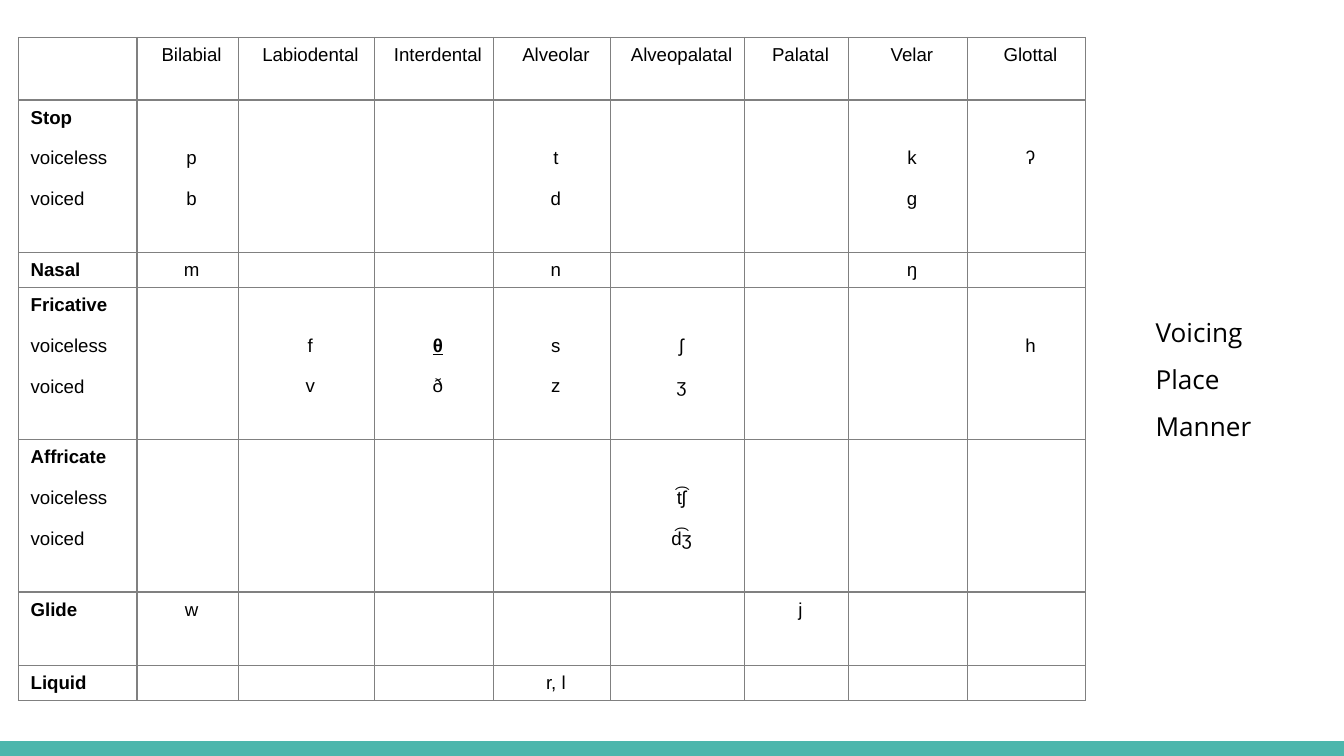
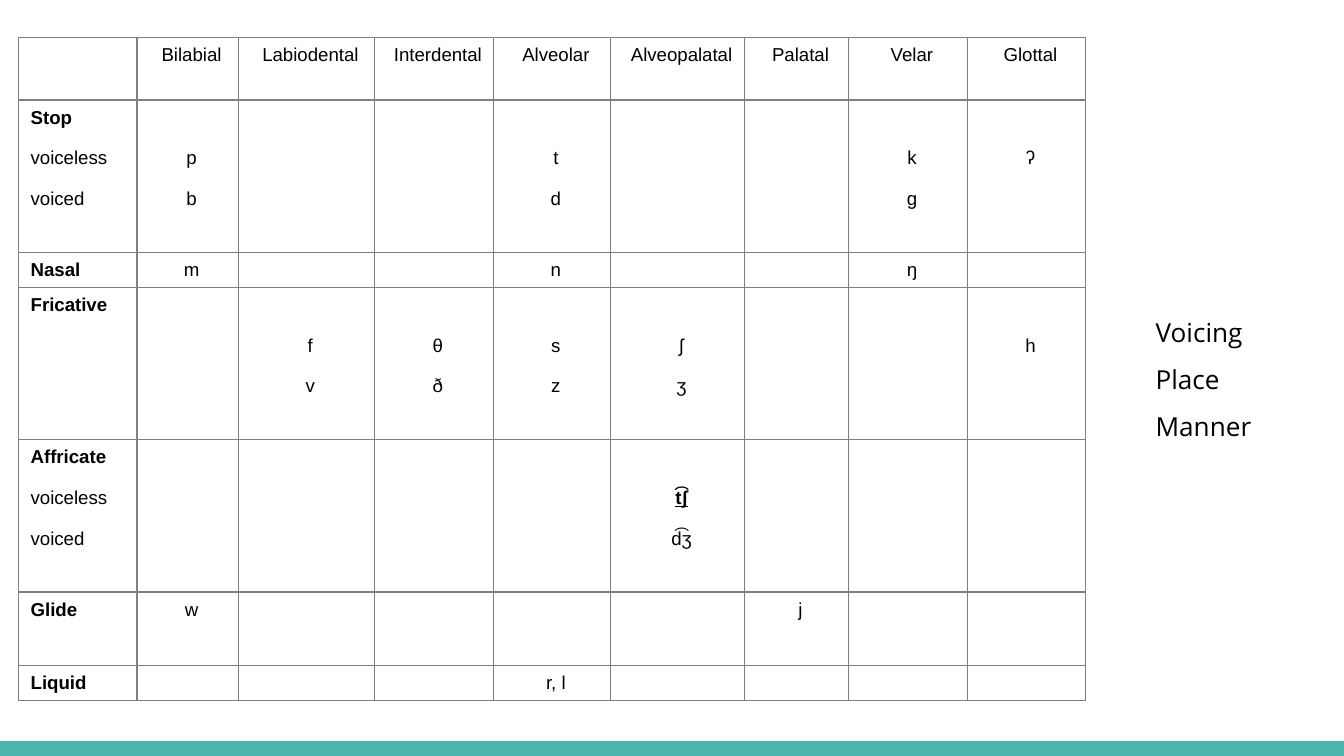
from lxml.etree import SubElement
from pptx import Presentation
from pptx.dml.color import RGBColor
from pptx.enum.shapes import MSO_SHAPE
from pptx.enum.text import PP_ALIGN
from pptx.oxml import parse_xml
from pptx.oxml.ns import nsdecls, qn
from pptx.util import Cm, Pt

TEAL = "4DB6AC"
GREY = "808080"
WHITE = "FFFFFF"
BLACK = "000000"

PLACES = ["Bilabial", "Labiodental", "Interdental", "Alveolar", "Alveopalatal",
          "Palatal", "Velar", "Glottal"]
MANNERS = [
    ("Stop", True, {"Bilabial": "p\nb", "Alveolar": "t\nd", "Velar": "k\ng", "Glottal": "ʔ"}),
    ("Nasal", False, {"Bilabial": "m", "Alveolar": "n", "Velar": "ŋ"}),
    ("Fricative", True, {"Labiodental": "f\nv", "Interdental": "θ\nð", "Alveolar": "s\nz",
                         "Alveopalatal": "ʃ\nʒ", "Glottal": "h"}),
    ("Affricate", True, {"Alveopalatal": "t͡ʃ\nd͡ʒ"}),
    ("Glide", False, {"Bilabial": "w", "Palatal": "j"}),
    ("Liquid", False, {"Alveolar": "r, l"}),
]
COLUMN_WIDTHS = [2.24, 1.91, 2.58, 2.24, 2.22, 2.53, 1.97, 2.24, 2.24]
ROW_HEIGHTS = [1.18, 2.88, 0.66, 2.88, 2.88, 1.39, 0.66]
SLIDES = [("θ", []), ("t͡ʃ", ["Fricative"])]


def paint(fill, color):
    fill.solid()
    fill.fore_color.rgb = RGBColor.from_string(color)


def fill_cell(cell, text, centered, dropped, highlight):
    paint(cell.fill, WHITE)
    cell.margin_left = Cm(0.23)
    cell.margin_right = cell.margin_bottom = Cm(0.08)
    cell.margin_top = Cm(0.85 if dropped else 0.08)
    properties = cell._tc.get_or_add_tcPr()
    for position, side in enumerate(["lnL", "lnR", "lnT", "lnB"]):
        properties.insert(position, parse_xml(
            f'<a:{side} {nsdecls("a")} w="9525"><a:solidFill>'
            f'<a:srgbClr val="{GREY}"/></a:solidFill></a:{side}>'))
    cell.text_frame.text = text
    for index, paragraph in enumerate(cell.text_frame.paragraphs):
        paragraph.line_spacing = 1.15
        paragraph.alignment = PP_ALIGN.CENTER if centered else PP_ALIGN.LEFT
        if index:
            paragraph.space_before = Pt(9)
        for run in paragraph.runs:
            run.font.name = "Arial"
            run.font.size = Pt(10)
            run.font.bold = run.text == highlight or (not centered and index == 0)
            run.font.underline = run.text == highlight
            paint(run.font.fill, BLACK)
        if not text:
            SubElement(paragraph._p, qn("a:endParaRPr")).set("sz", "1000")


presentation = Presentation()
presentation.slide_width = Cm(25.4)
presentation.slide_height = Cm(14.29)
layout = presentation.slide_layouts[6]

for highlight, unlabelled in SLIDES:
    slide = presentation.slides.add_slide(layout)

    band = slide.shapes.add_shape(MSO_SHAPE.RECTANGLE, Cm(0), Cm(14.01), Cm(25.4), Cm(0.28))
    band.shadow.inherit = False
    paint(band.fill, TEAL)
    band.line.fill.background()

    table = slide.shapes.add_table(
        len(ROW_HEIGHTS), len(COLUMN_WIDTHS), Cm(0.35), Cm(0.71),
        Cm(sum(COLUMN_WIDTHS)), Cm(sum(ROW_HEIGHTS))).table
    for column, width in zip(table.columns, COLUMN_WIDTHS):
        column.width = Cm(width)
    for row, height in zip(table.rows, ROW_HEIGHTS):
        row.height = Cm(height)

    for column, heading in enumerate([""] + PLACES):
        fill_cell(table.cell(0, column), heading, True, False, highlight)
    for row, (manner, voicing, sounds) in enumerate(MANNERS, 1):
        labelled = voicing and manner not in unlabelled
        label = manner + "\nvoiceless\nvoiced" if labelled else manner
        fill_cell(table.cell(row, 0), label, False, False, highlight)
        for column, place in enumerate(PLACES, 1):
            fill_cell(table.cell(row, column), sounds.get(place, ""), True,
                      voicing and place in sounds, highlight)

    features = slide.shapes.add_textbox(Cm(21.59), Cm(5.44), Cm(2.82), Cm(1.55))
    frame = features.text_frame
    frame.word_wrap = True
    frame.margin_left = frame.margin_right = Cm(0.25)
    frame.margin_top = frame.margin_bottom = Cm(0.25)
    frame.text = "Voicing\nPlace\nManner"
    for paragraph in frame.paragraphs:
        paragraph.line_spacing = 1.5
        for run in paragraph.runs:
            run.font.name = "Open Sans"
            run.font.size = Pt(14)
            paint(run.font.fill, BLACK)

presentation.save("out.pptx")
